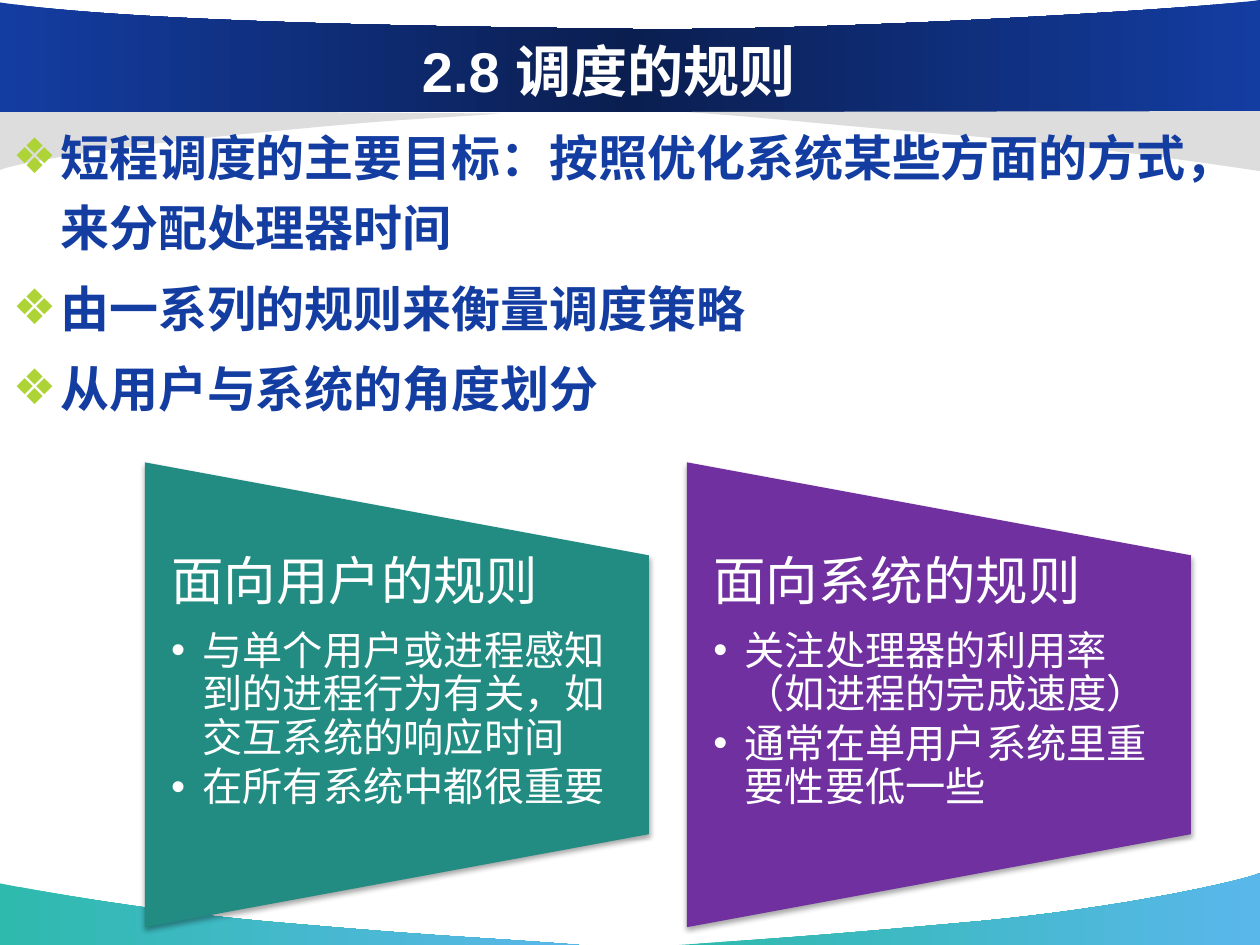
"""Builds the slide on scheduling rules with two opposing panels."""
from copy import deepcopy
from dataclasses import dataclass

from lxml.etree import SubElement
from pptx import Presentation
from pptx.dml.color import RGBColor
from pptx.enum.shapes import MSO_SHAPE as Preset
from pptx.enum.text import MSO_ANCHOR as Anchor, MSO_AUTO_SIZE as AutoSize, PP_ALIGN as Align
from pptx.oxml.ns import qn
from pptx.util import Cm, Pt


@dataclass(frozen=True)
class Theme:
    font: str = "Arial"
    white: str = "FFFFFF"
    navy: str = "143DA2"
    deep_navy: str = "0A1E50"
    teal: str = "2EBAAD"
    sky: str = "5AB7EA"
    grey: str = "DDDDDD"
    lime: str = "AED337"
    green: str = "228C82"
    purple: str = "7030A0"
    title_size: int = 32
    body_size: int = 28
    heading_size: int = 30
    detail_size: int = 23


THEME = Theme()
WIDTH, HEIGHT = 25.4, 19.05

TITLE = "2.8 调度的规则"
GOALS = [
    "短程调度的主要目标：按照优化系统某些方面的方式，来分配处理器时间",
    "由一系列的规则来衡量调度策略",
    "从用户与系统的角度划分",
]
PANELS = [
    ("面向用户的规则", THEME.green,
     ["与单个用户或进程感知到的进程行为有关，如交互系统的响应时间", "在所有系统中都很重要"]),
    ("面向系统的规则", THEME.purple,
     ["关注处理器的利用率（如进程的完成速度）", "通常在单用户系统里重要性要低一些"]),
]
PANEL_LEFT, PANEL_TOP, PANEL_PITCH = 2.92, 9.32, 10.93
PANEL_WIDTH, PANEL_HEIGHT = 10.16, 9.37
TEXT_TOP, TEXT_HEIGHT = 11.2, 5.61

WAVES = [
    ([THEME.teal, THEME.sky], (11.68, 19.05),
     [((9.75, 18.9), (9.09, 18.9), (5.89, 18.62)), ((2.69, 18.36), (0.03, 17.81), (0, 17.81))],
     [(0, HEIGHT)]),
    ([THEME.teal, THEME.sky], (13.69, 19.05),
     [((15.6, 18.92), (16.41, 18.87), (19.53, 18.59)), ((22.66, 18.31), (25.15, 17.73), (WIDTH, 17.6))],
     [(WIDTH, HEIGHT)]),
    ([THEME.grey], (10.11, 2.29),
     [((8.41, 2.41), (8.08, 2.39), (5.28, 2.67)), ((2.46, 2.92), (0.23, 3.3), (0, 3.43))],
     [(0, 2.21)]),
    ([THEME.navy, THEME.deep_navy, THEME.navy], (WIDTH, 0),
     [((24.49, 0.15), (16.59, 0.66), (12.37, 0.58)), ((8.15, 0.53), (2.57, 0.43), (0, 0.05))],
     [(0, 2.26), (WIDTH, 2.26)]),
    ([THEME.grey], (13.82, 2.26),
     [((15.75, 2.39), (16.31, 2.49), (19.51, 2.74)), ((22.71, 3.02), (25.37, 3.45), (WIDTH, 3.45))],
     [(WIDTH, 2.24)]),
]


def paint(shape, colors):
    shape.shadow.inherit = False
    shape.line.fill.background()
    if len(colors) == 1:
        shape.fill.solid()
        shape.fill.fore_color.rgb = RGBColor.from_string(colors[0])
        return
    shape.fill.gradient()
    shape.fill.gradient_angle = 0
    stop_list = shape.element.spPr.find(".//" + qn("a:gsLst"))
    while len(stop_list) < len(colors):
        stop_list.append(deepcopy(stop_list[0]))
    for index, (stop, color) in enumerate(zip(shape.fill.gradient_stops, colors)):
        stop.position = index / (len(colors) - 1)
        stop.color.rgb = RGBColor.from_string(color)


def bend_segments(shape, curve_count):
    outline = shape.element.spPr.find(".//" + qn("a:path"))
    lines = outline.findall(qn("a:lnTo"))
    for index in range(curve_count):
        group = lines[3 * index:3 * index + 3]
        curve = SubElement(outline, qn("a:cubicBezTo"))
        group[0].addprevious(curve)
        for line in group:
            curve.append(line[0])
            outline.remove(line)


def add_wave(slide, colors, start, curves, corners):
    points = [point for controls in curves for point in controls] + corners
    builder = slide.shapes.build_freeform(Cm(start[0]), Cm(start[1]))
    builder.add_line_segments([(Cm(x), Cm(y)) for x, y in points], close=True)
    shape = builder.convert_to_shape()
    bend_segments(shape, len(curves))
    paint(shape, colors)


def add_panel_shape(slide, left, color):
    center_x, center_y = left + PANEL_WIDTH / 2, PANEL_TOP + PANEL_HEIGHT / 2
    shape = slide.shapes.add_shape(
        Preset.FLOWCHART_MANUAL_OPERATION,
        Cm(center_x - PANEL_HEIGHT / 2), Cm(center_y - PANEL_WIDTH / 2),
        Cm(PANEL_HEIGHT), Cm(PANEL_WIDTH))
    shape.rotation = 270
    paint(shape, [color])
    effects = shape.element.spPr.find(qn("a:effectLst"))
    shadow = SubElement(effects, qn("a:outerShdw"), blurRad=str(Pt(3.1)), dist=str(Pt(1.8)),
                        dir="5400000", rotWithShape="0")
    black = SubElement(shadow, qn("a:srgbClr"), val="000000")
    SubElement(black, qn("a:alpha"), val="35000")


def place(shape, left, top, width, height):
    shape.left, shape.top, shape.width, shape.height = map(Cm, (left, top, width, height))


def write(frame, text, *, size, color=THEME.white, bold=False, align=Align.LEFT, spacing=1.0,
          before=0, after=0, bullet=None, bullet_color=None, indent=0):
    first = not frame.paragraphs[0].runs
    paragraph = frame.paragraphs[0] if first else frame.add_paragraph()
    paragraph.alignment = align
    paragraph.line_spacing = spacing
    paragraph.space_before = Pt(0 if first else before)
    paragraph.space_after = Pt(after)
    if bullet:
        properties = paragraph._p.get_or_add_pPr()
        properties.set("marL", str(Cm(indent)))
        properties.set("indent", str(-Cm(indent)))
        tint = SubElement(properties, qn("a:buClr"))
        SubElement(tint, qn("a:srgbClr"), val=bullet_color or color)
        SubElement(properties, qn("a:buFont"), typeface=THEME.font)
        SubElement(properties, qn("a:buChar"), char=bullet)
    run = paragraph.add_run()
    run.text = text
    run.font.name = THEME.font
    run.font.size = Pt(size)
    run.font.bold = bold
    run.font.color.rgb = RGBColor.from_string(color)


def add_panel_text(slide, left, heading, details):
    box = slide.shapes.add_textbox(Cm(left), Cm(TEXT_TOP), Cm(PANEL_WIDTH), Cm(TEXT_HEIGHT))
    frame = box.text_frame
    frame.word_wrap = True
    frame.margin_left = frame.margin_right = Cm(0.53)
    frame.margin_top = frame.margin_bottom = Cm(0)
    write(frame, heading, size=THEME.heading_size, spacing=0.9, after=10.5)
    for detail in details:
        write(frame, detail, size=THEME.detail_size, spacing=0.9, after=3.45, bullet="•", indent=0.63)


def main():
    presentation = Presentation()
    presentation.slide_width, presentation.slide_height = Cm(WIDTH), Cm(HEIGHT)
    slide = presentation.slides.add_slide(presentation.slide_layouts[1])
    title, body = slide.shapes.title, slide.placeholders[1]

    for wave in WAVES:
        add_wave(slide, *wave)

    place(title, 2.33, 0.62, 19.89, 1.57)
    place(body, 0, 2.2, WIDTH, 4.72)
    for placeholder, anchor in ((title, Anchor.MIDDLE), (body, Anchor.TOP)):
        slide.shapes.element.append(placeholder.element)
        placeholder.text_frame.auto_size = AutoSize.NONE
        placeholder.text_frame.vertical_anchor = anchor
    write(title.text_frame, TITLE, size=THEME.title_size, bold=True, align=Align.CENTER)
    for goal in GOALS:
        write(body.text_frame, goal, size=THEME.body_size, color=THEME.navy, bold=True, spacing=1.2,
              before=5.6, bullet="❖", bullet_color=THEME.lime, indent=0.96)

    for index, (heading, color, details) in enumerate(PANELS):
        left = PANEL_LEFT + index * PANEL_PITCH
        add_panel_shape(slide, left, color)
        add_panel_text(slide, left, heading, details)

    presentation.save("out.pptx")


if __name__ == "__main__":
    main()
